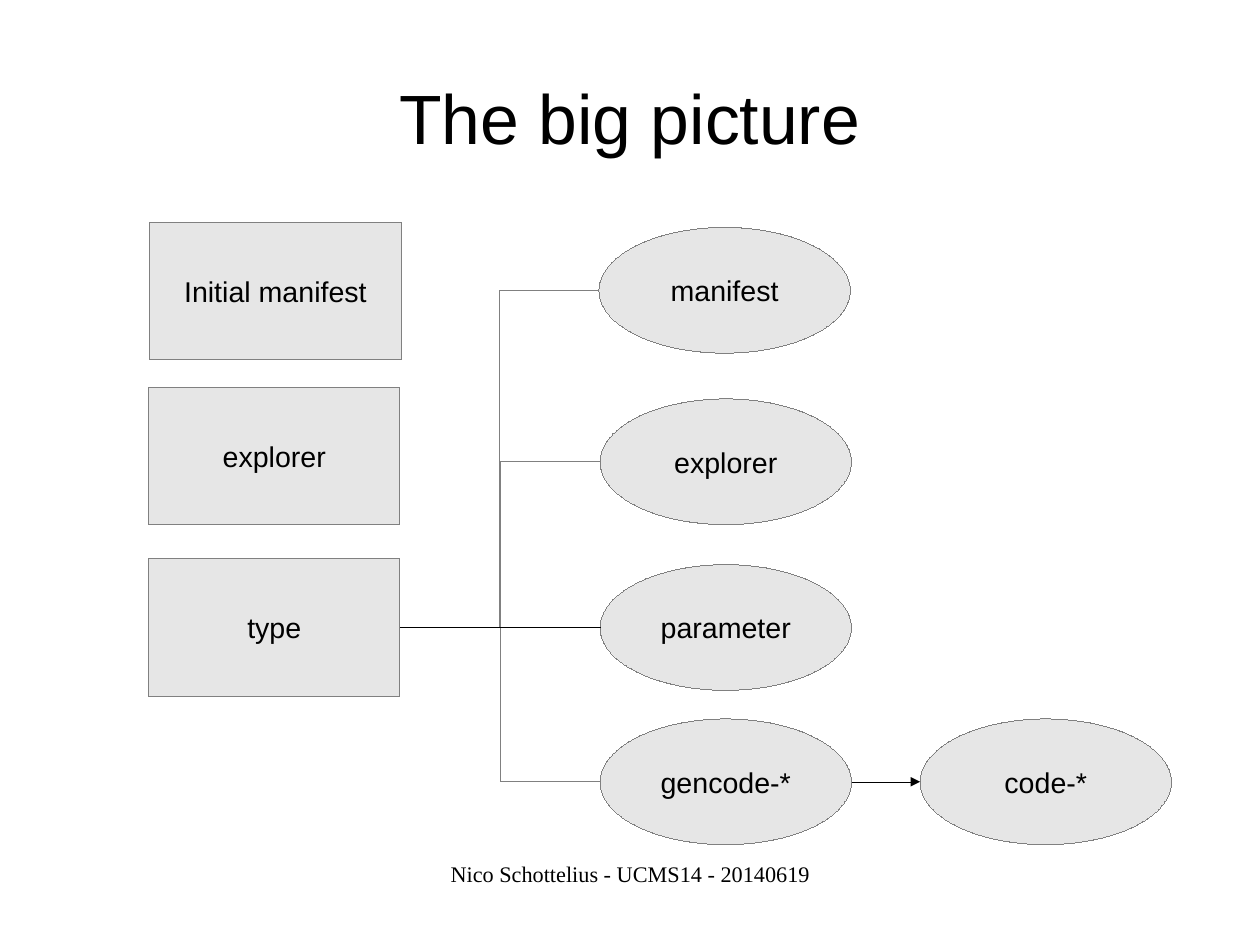
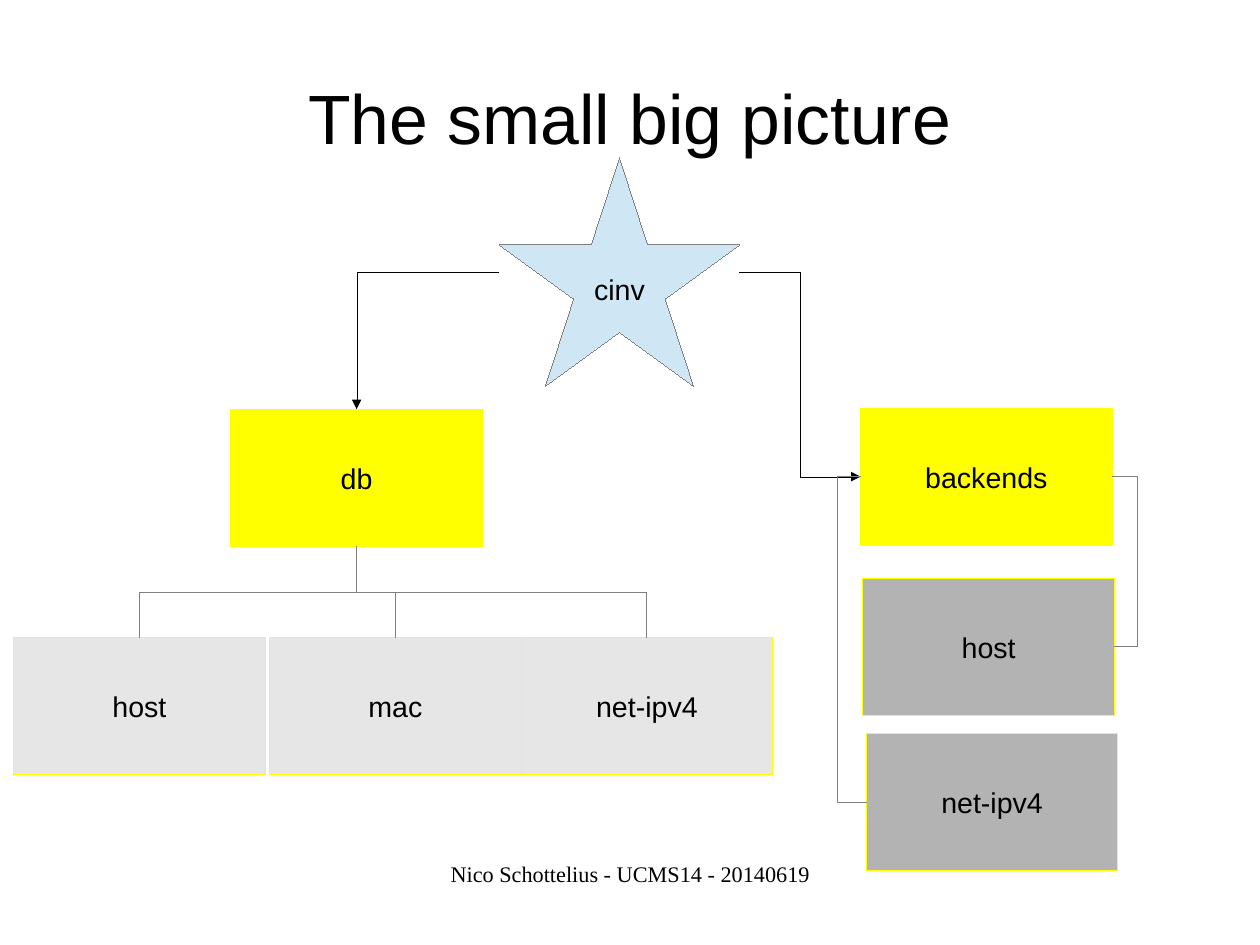
from dataclasses import dataclass
from enum import Enum

from lxml.etree import SubElement
from pptx import Presentation
from pptx.dml.color import RGBColor
from pptx.enum.shapes import MSO_CONNECTOR, MSO_SHAPE
from pptx.enum.text import MSO_ANCHOR, MSO_AUTO_SIZE, PP_ALIGN
from pptx.oxml.ns import qn
from pptx.presentation import Presentation as Deck
from pptx.shapes.autoshape import Shape
from pptx.shapes.connector import Connector
from pptx.slide import Slide
from pptx.text.text import TextFrame
from pptx.util import Cm, Inches, Length, Pt


@dataclass(frozen=True)
class Theme:
    ink: str = "000000"
    gray: str = "808080"
    light: str = "E6E6E6"
    dark: str = "B3B3B3"
    yellow: str = "FFFF00"
    sky: str = "CFE7F5"
    sans: str = "Arial"
    serif: str = "Times New Roman"
    title_size: float = 43.9
    label_size: float = 18
    footer_size: float = 14


THEME = Theme()
SLIDE_WIDTH, SLIDE_HEIGHT = Cm(28), Cm(21)
CELL = Inches(0.1)
TITLE_ONLY = 5
FOOTER = "Nico Schottelius - UCMS14 - 20140619"


class Side(Enum):
    TOP = 0
    LEFT = 1
    BOTTOM = 2
    RIGHT = 3


class Route(Enum):
    STRAIGHT = "line"
    ACROSS = "bentConnector3"
    DOWN = "down"
    CORNER = "bentConnector2"


@dataclass(frozen=True)
class Kind:
    preset: MSO_SHAPE
    width: float
    height: float
    fill: str
    line: str
    sites_per_side: int = 1


STEP = Kind(MSO_SHAPE.RECTANGLE, 22, 12, THEME.light, THEME.gray)
PART = Kind(MSO_SHAPE.OVAL, 22, 11, THEME.light, THEME.gray, 2)
GROUP = Kind(MSO_SHAPE.RECTANGLE, 22, 12, THEME.yellow, THEME.yellow)
TABLE = Kind(MSO_SHAPE.RECTANGLE, 22, 12, THEME.light, THEME.yellow)
BACKEND = Kind(MSO_SHAPE.RECTANGLE, 22, 12, THEME.dark, THEME.yellow)
STAR = Kind(MSO_SHAPE.STAR_5_POINT, 21, 20, THEME.sky, THEME.gray)


@dataclass(frozen=True)
class Node:
    label: str
    kind: Kind
    column: float
    row: float

    def at(self, side: Side) -> tuple[Length, Length]:
        across, down = {
            Side.TOP: (0.5, 0), Side.LEFT: (0, 0.5),
            Side.BOTTOM: (0.5, 1), Side.RIGHT: (1, 0.5),
        }[side]
        return (cells(self.column + across * self.kind.width),
                cells(self.row + down * self.kind.height))


@dataclass(frozen=True)
class Wire:
    begin: Node
    begin_side: Side
    end: Node
    end_side: Side
    route: Route = Route.ACROSS
    color: str = THEME.gray
    arrow: bool = False
    bend: float = 0.5
    join_begin: bool = True
    join_end: bool = True


@dataclass(frozen=True)
class Diagram:
    title: str
    nodes: list[Node]
    wires: list[Wire]


def cells(count: float) -> Length:
    return Length(round(count * CELL))


def write(frame: TextFrame, text: str, face: str, size: float) -> None:
    frame.text = text
    para = frame.paragraphs[0]
    para.alignment = PP_ALIGN.CENTER
    para.font.name = face
    para.font.size = Pt(size)
    para.font.color.rgb = RGBColor.from_string(THEME.ink)


def clear_margins(frame: TextFrame) -> None:
    frame.margin_left = frame.margin_right = 0
    frame.margin_top = frame.margin_bottom = 0
    frame.word_wrap = True


def set_hairline(item: Shape | Connector, color: str) -> None:
    item.line.color.rgb = RGBColor.from_string(color)
    item._element.spPr.find(qn("a:ln")).set("w", "0")


def add_page(deck: Deck, title: str) -> Slide:
    page = deck.slides.add_slide(deck.slide_layouts[TITLE_ONLY])
    heading = page.shapes.title
    heading.left, heading.top = cells(5.5), cells(3.3)
    heading.width, heading.height = cells(99.2), cells(13.8)
    frame = heading.text_frame
    clear_margins(frame)
    frame.auto_size = MSO_AUTO_SIZE.NONE
    frame.vertical_anchor = MSO_ANCHOR.MIDDLE
    write(frame, title, THEME.sans, THEME.title_size)
    return page


def add_footer(page: Slide) -> None:
    box = page.shapes.add_textbox(
        cells(37.7), cells(75.3), cells(34.9), cells(5.7))
    clear_margins(box.text_frame)
    write(box.text_frame, FOOTER, THEME.serif, THEME.footer_size)


def add_node(page: Slide, node: Node) -> Shape:
    kind = node.kind
    box = page.shapes.add_shape(
        kind.preset, cells(node.column), cells(node.row),
        cells(kind.width), cells(kind.height))
    box.shadow.inherit = False
    box.fill.solid()
    box.fill.fore_color.rgb = RGBColor.from_string(kind.fill)
    set_hairline(box, kind.line)
    box.text_frame.word_wrap = False
    box.text_frame.vertical_anchor = MSO_ANCHOR.MIDDLE
    write(box.text_frame, node.label, THEME.sans, THEME.label_size)
    return box


def join(connector: Connector, wire: Wire, boxes: dict[Node, Shape]) -> None:
    if wire.join_begin:
        connector.begin_connect(boxes[wire.begin], wire.begin_side.value)
    if wire.join_end:
        connector.end_connect(boxes[wire.end], wire.end_side.value)
    for tag, node, side in (("a:stCxn", wire.begin, wire.begin_side),
                            ("a:endCxn", wire.end, wire.end_side)):
        for link in connector._element.iter(qn(tag)):
            link.set("idx", str(side.value * node.kind.sites_per_side))


def turn_down(connector: Connector, begin: tuple[Length, Length],
              end: tuple[Length, Length]) -> None:
    (left, top), (right, bottom) = begin, end
    width, height = bottom - top, abs(right - left)
    connector.left = Length((left + right - width) // 2)
    connector.top = Length((top + bottom - height) // 2)
    connector.width, connector.height = Length(width), Length(height)
    frame = connector._element.spPr.find(qn("a:xfrm"))
    frame.set("rot", "5400000")
    frame.set("flipH", "0")
    frame.set("flipV", str(int(right > left)))


def add_wire(page: Slide, wire: Wire, boxes: dict[Node, Shape]) -> None:
    begin, end = wire.begin.at(wire.begin_side), wire.end.at(wire.end_side)
    straight = wire.route is Route.STRAIGHT
    style = MSO_CONNECTOR.STRAIGHT if straight else MSO_CONNECTOR.ELBOW
    connector = page.shapes.add_connector(style, *begin, *end)
    join(connector, wire, boxes)
    properties = connector._element.spPr
    geometry = properties.find(qn("a:prstGeom"))
    if wire.route is Route.DOWN:
        turn_down(connector, begin, end)
    if wire.route is Route.CORNER:
        geometry.set("prst", wire.route.value)
    if wire.route in (Route.ACROSS, Route.DOWN):
        guide = SubElement(geometry.find(qn("a:avLst")), qn("a:gd"))
        guide.set("name", "adj1")
        guide.set("fmla", f"val {round(wire.bend * 100000)}")
    set_hairline(connector, wire.color)
    if wire.arrow:
        head = SubElement(properties.find(qn("a:ln")), qn("a:tailEnd"))
        head.set("type", "triangle")
    SubElement(properties, qn("a:effectLst"))


def add_diagram(deck: Deck, diagram: Diagram) -> None:
    page = add_page(deck, diagram.title)
    boxes = {node: add_node(page, node) for node in diagram.nodes}
    for wire in diagram.wires:
        add_wire(page, wire, boxes)
    add_footer(page)


def big_picture() -> Diagram:
    initial = Node("Initial manifest", STEP, 13.1, 19.5)
    explorer = Node("explorer", STEP, 13, 33.9)
    type_step = Node("type", STEP, 13, 48.9)
    manifest = Node("manifest", PART, 52.4, 19.9)
    type_explorer = Node("explorer", PART, 52.5, 34.9)
    parameter = Node("parameter", PART, 52.5, 49.4)
    gencode = Node("gencode-*", PART, 52.5, 62.9)
    code = Node("code-*", PART, 80.5, 62.9)
    branches = [Wire(type_step, Side.RIGHT, part, Side.LEFT)
                for part in (manifest, gencode, type_explorer)]
    return Diagram(
        "The big picture",
        [initial, type_step, manifest, gencode, parameter, type_explorer,
         explorer, code],
        branches + [
            Wire(type_step, Side.RIGHT, parameter, Side.LEFT,
                 Route.STRAIGHT, THEME.ink),
            Wire(gencode, Side.RIGHT, code, Side.LEFT,
                 Route.STRAIGHT, THEME.ink, arrow=True),
        ])


def small_big_picture() -> Diagram:
    cinv = Node("cinv", STAR, 43.7, 13.8)
    database = Node("db", GROUP, 20.2, 35.8)
    backends = Node("backends", GROUP, 75.3, 35.7)
    backend_host = Node("host", BACKEND, 75.5, 50.6)
    backend_net = Node("net-ipv4", BACKEND, 75.8, 64.2)
    tables = [Node(label, TABLE, column, 55.8) for label, column in
              (("mac", 23.6), ("net-ipv4", 45.6), ("host", 1.2))]
    branches = [Wire(database, Side.BOTTOM, table, Side.TOP, Route.DOWN)
                for table in tables]
    return Diagram(
        "The small big picture",
        [database, cinv, backends, backend_host, *tables, backend_net],
        [
            Wire(cinv, Side.LEFT, database, Side.TOP, Route.CORNER,
                 THEME.ink, arrow=True, join_begin=False),
            Wire(cinv, Side.RIGHT, backends, Side.LEFT, Route.ACROSS,
                 THEME.ink, arrow=True, join_begin=False, join_end=False),
            Wire(backends, Side.RIGHT, backend_host, Side.RIGHT, bend=11),
            *branches,
            Wire(backends, Side.LEFT, backend_net, Side.LEFT, bend=-4),
        ])


def main() -> None:
    deck = Presentation()
    deck.slide_width, deck.slide_height = SLIDE_WIDTH, SLIDE_HEIGHT
    for diagram in (big_picture(), small_big_picture()):
        add_diagram(deck, diagram)
    deck.save("out.pptx")


if __name__ == "__main__":
    main()
